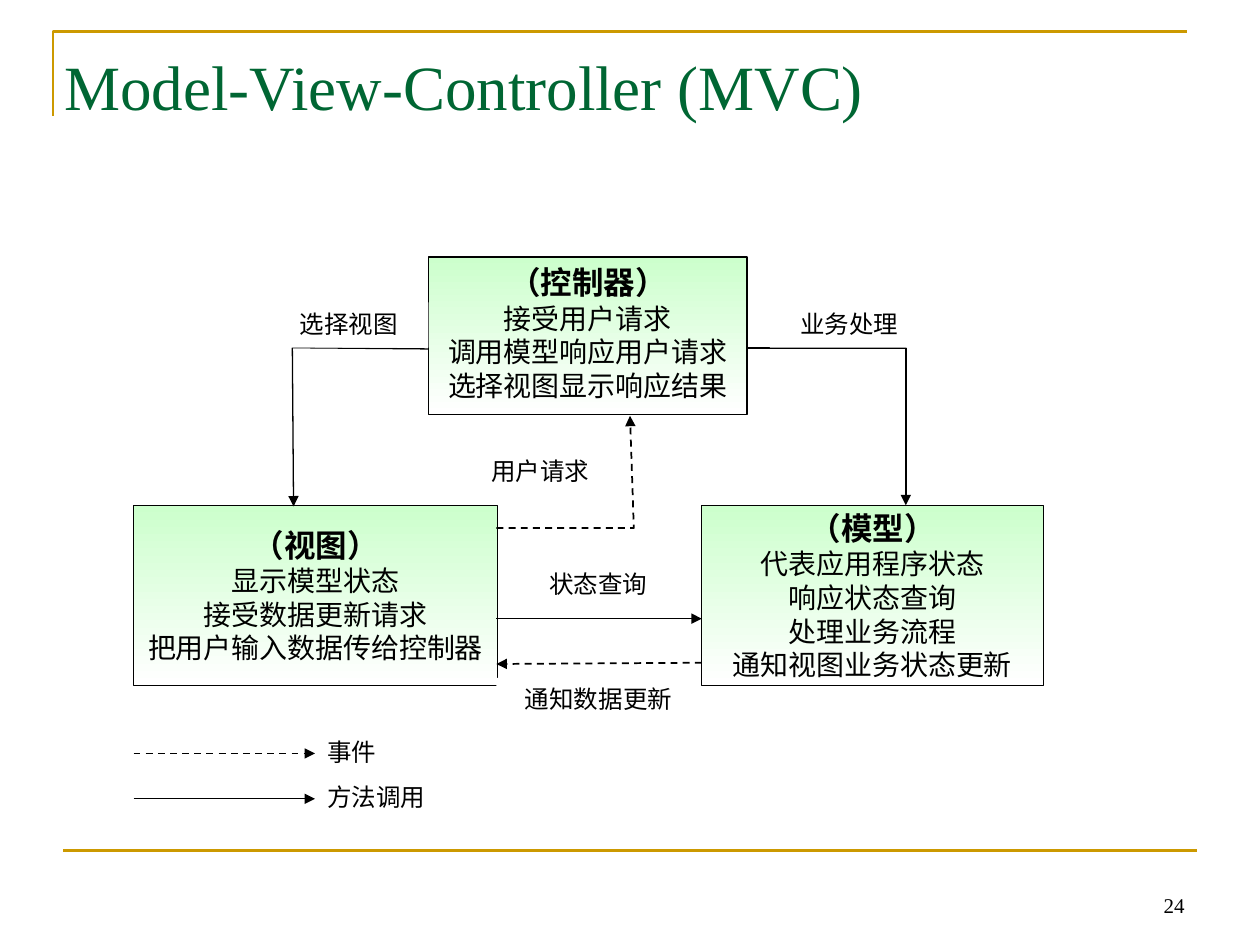
from lxml import etree
from pptx import Presentation
from pptx.dml.color import RGBColor
from pptx.enum import dml, shapes, text
from pptx.oxml.ns import qn
from pptx.util import Inches, Pt

BLACK, WHITE, GOLD, GREEN, MINT = "000000", "FFFFFF", "CC9900", "006633", "CCFFCC"
SANS, SERIF = "Arial", "Times New Roman"
ALIGN, ANCHOR = text.PP_ALIGN, text.MSO_ANCHOR

# Component: position and size, anchor, heading and duties
COMPONENTS = [
    ((3.4, 2.04, 2.53, 1.25), ANCHOR.TOP,
     ["（控制器）", "接受用户请求", "调用模型响应用户请求", "选择视图显示响应结果"]),
    ((1.06, 4.01, 2.89, 1.43), ANCHOR.MIDDLE,
     ["（视图）", "显示模型状态", "接受数据更新请求", "把用户输入数据传给控制器"]),
    ((5.57, 4.01, 2.71, 1.43), ANCHOR.MIDDLE,
     ["（模型）", "代表应用程序状态", "响应状态查询", "处理业务流程",
      "通知视图业务状态更新"]),
]

# Bent arrow: points, line width, dashed
BENT_ARROWS = [
    ([(3.4, 2.77), (2.32, 2.76), (2.33, 4.02)], 0.75, False),
    ([(5.93, 2.76), (7.19, 2.76), (7.19, 4.01)], 1, False),
    ([(3.94, 4.19), (5.03, 4.19), (5, 3.3)], 1, True),
]

# Straight arrow: start, end, line width, dashed
STRAIGHT_ARROWS = [
    ((3.94, 4.91), (5.57, 4.91), 0.75, False),
    ((5.57, 5.26), (3.94, 5.27), 1, True),
    ((1.06, 5.98), (2.5, 5.98), 1, True),
    ((1.06, 6.34), (2.5, 6.34), 0.75, False),
]

# Label: left, top, width, wording, alignment
LABELS = [
    (2.14, 2.4, 1.26, "选择视图", ALIGN.CENTER),
    (6.11, 2.4, 1.26, "业务处理", ALIGN.CENTER),
    (3.66, 3.57, 1.26, "用户请求", ALIGN.CENTER),
    (3.94, 5.38, 1.62, "通知数据更新", ALIGN.CENTER),
    (4.12, 4.47, 1.26, "状态查询", ALIGN.CENTER),
    (2.5, 5.8, 1.62, "事件", ALIGN.JUSTIFY),
    (2.5, 6.16, 1.62, "方法调用", ALIGN.JUSTIFY),
]


def rgb(value):
    return RGBColor.from_string(value)


def inches(values):
    return [Inches(value) for value in values]


def write(shape, lines, size, font=SANS, color=BLACK, align=ALIGN.CENTER,
          anchor=ANCHOR.TOP):
    frame = shape.text_frame
    frame.text = "\n".join(lines)
    frame.word_wrap = True
    frame.vertical_anchor = anchor
    for paragraph in frame.paragraphs:
        paragraph.alignment = align
        for run in paragraph.runs:
            run.font.size = Pt(size)
            run.font.name = font
            run.font.color.rgb = rgb(color)


def style_line(shape, color, width, dashed=False, arrow=False):
    line = shape.line
    line.color.rgb = rgb(color)
    line.width = Pt(width)
    if dashed:
        line.dash_style = dml.MSO_LINE.DASH
    if arrow:
        outline = shape.element.spPr.find(qn("a:ln"))
        etree.SubElement(outline, qn("a:tailEnd"), type="triangle")


def add_line(slide, start, end, color, width, dashed=False, arrow=False):
    line = slide.shapes.add_connector(
        shapes.MSO_CONNECTOR.STRAIGHT, *inches(start + end))
    style_line(line, color, width, dashed, arrow)
    etree.SubElement(line.element.spPr, qn("a:effectLst"))


def add_polyline(slide, points, color, width, dashed=False, arrow=False):
    start, *others = [inches(point) for point in points]
    builder = slide.shapes.build_freeform(*start)
    builder.add_line_segments(others, close=False)
    polyline = builder.convert_to_shape()
    polyline.fill.background()
    polyline.shadow.inherit = False
    style_line(polyline, color, width, dashed, arrow)


def add_rectangle(slide, box):
    rectangle = slide.shapes.add_shape(shapes.MSO_SHAPE.RECTANGLE, *inches(box))
    rectangle.shadow.inherit = False
    return rectangle


def add_component(slide, box, anchor, lines):
    component = add_rectangle(slide, box)
    component.fill.gradient()
    component.fill.gradient_angle = 270
    for stop, color, position in zip(
            component.fill.gradient_stops, (MINT, WHITE), (0, 1)):
        stop.color.rgb = rgb(color)
        stop.position = position
    style_line(component, BLACK, 0.75)
    write(component, lines, 16, anchor=anchor)
    heading = component.text_frame.paragraphs[0].runs[0].font
    heading.size = Pt(18)
    heading.bold = True


def add_label(slide, left, top, width, wording, align):
    label = add_rectangle(slide, (left, top, width, 0.36))
    label.fill.solid()
    label.fill.fore_color.rgb = rgb(WHITE)
    label.line.fill.background()
    write(label, [wording], 14, align=align)


def add_title(slide, wording):
    title = slide.shapes.title
    title.left, title.top, title.width, title.height = inches((0.41, 0.28, 7.5, 0.79))
    write(title, [wording], 36, SERIF, GREEN, ALIGN.LEFT, ANCHOR.MIDDLE)


def add_page_number(slide, number):
    box = slide.shapes.add_textbox(*inches((7.17, 6.83, 2.33, 0.5)))
    write(box, [number], 12, SERIF, align=ALIGN.RIGHT, anchor=ANCHOR.BOTTOM)


def main():
    deck = Presentation()
    deck.slide_width, deck.slide_height = Inches(10), Inches(7.5)
    slide = deck.slides.add_slide(deck.slide_layouts[5])

    # Frame lines and title
    add_polyline(slide, [(0.42, 0.92), (0.42, 0.25), (9.42, 0.25)], GOLD, 1.5)
    add_line(slide, (0.5, 6.75), (9.5, 6.75), GOLD, 1.5)
    add_title(slide, "Model-View-Controller (MVC)")

    # Controller, view and model
    for component in COMPONENTS:
        add_component(slide, *component)

    # Calls, events and legend
    for points, width, dashed in BENT_ARROWS:
        add_polyline(slide, points, BLACK, width, dashed, arrow=True)
    for start, end, width, dashed in STRAIGHT_ARROWS:
        add_line(slide, start, end, BLACK, width, dashed, arrow=True)
    for label in LABELS:
        add_label(slide, *label)

    add_page_number(slide, "24")
    deck.save("out.pptx")


if __name__ == "__main__":
    main()
